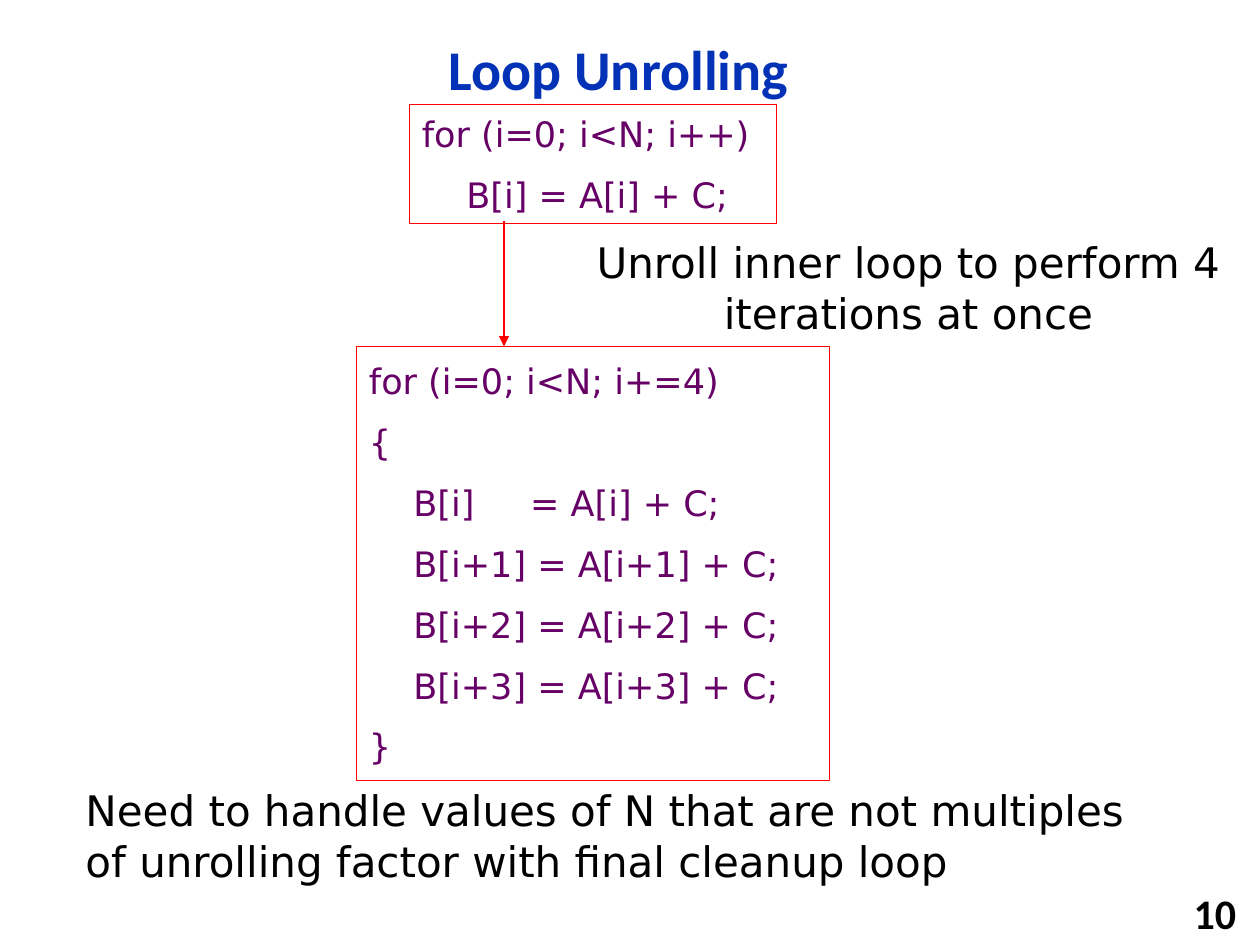
from lxml import etree
from pptx import Presentation
from pptx.dml.color import RGBColor
from pptx.enum.shapes import MSO_CONNECTOR, MSO_SHAPE
from pptx.enum.text import MSO_ANCHOR, PP_ALIGN
from pptx.oxml.ns import qn
from pptx.util import Inches, Pt

LEFT, CENTER, RIGHT = PP_ALIGN.LEFT, PP_ALIGN.CENTER, PP_ALIGN.RIGHT
TOP, MIDDLE = MSO_ANCHOR.TOP, MSO_ANCHOR.MIDDLE
RECTANGLE, STRAIGHT = MSO_SHAPE.RECTANGLE, MSO_CONNECTOR.STRAIGHT

COLORS = {"title": "0332B7", "code": "660066", "outline": "FF0000", "text": "000000"}
HEADING_FONT, BODY_FONT = "Calibri", "DejaVu Sans"

ROLLED_LOOP = ["for (i=0; i<N; i++)", "    B[i] = A[i] + C;"]
UNROLLED_LOOP = [
    "for (i=0; i<N; i+=4)",
    "{",
    "    B[i]     = A[i] + C;",
    *(f"    B[i+{step}] = A[i+{step}] + C;" for step in range(1, 4)),
    "}",
]


def color(name):
    """Return the named colour."""
    return RGBColor.from_string(COLORS[name])


def write_text(frame, lines, font=BODY_FONT, size=24, fill="text", bold=False,
               align=LEFT, anchor=TOP, gap=0, spacing=None):
    """Fill a text frame with one paragraph per line."""
    frame.word_wrap = True
    frame.vertical_anchor = anchor
    for index, line in enumerate(lines):
        paragraph = frame.add_paragraph() if index else frame.paragraphs[0]
        paragraph.text = line
        paragraph.alignment = align
        if index:
            paragraph.space_before = Pt(gap)
        if spacing:
            paragraph.line_spacing = spacing
        paragraph.font.name = font
        paragraph.font.size = Pt(size)
        paragraph.font.bold = bold
        paragraph.font.color.rgb = color(fill)


def add_label(slide, box, text, **text_format):
    """Place a text box in the given box."""
    label = slide.shapes.add_textbox(*map(Inches, box))
    write_text(label.text_frame, [text], **text_format)


def add_code(slide, box, lines):
    """Place an outlined code listing in the given box."""
    listing = slide.shapes.add_shape(RECTANGLE, *map(Inches, box))
    listing.shadow.inherit = False
    listing.fill.background()
    listing.line.color.rgb = color("outline")
    listing.line.width = Pt(0.25)
    write_text(listing.text_frame, lines, size=20, fill="code", anchor=MIDDLE, gap=10.8)


def add_arrow(slide, x, top, bottom):
    """Draw a downward arrow between two heights."""
    arrow = slide.shapes.add_connector(
        STRAIGHT, Inches(x), Inches(top), Inches(x), Inches(bottom))
    arrow.line.color.rgb = color("outline")
    arrow.line.width = Pt(1.5)
    etree.SubElement(arrow.line._get_or_add_ln(), qn("a:tailEnd"), type="triangle")
    etree.SubElement(arrow._element.spPr, qn("a:effectLst"))


def build_loop_unrolling(slide, box):
    """Lay out the loop unrolling slide inside the given box."""
    left, top, width, height = box
    right, bottom = left + width, top + height
    add_label(slide, (left + 0.92, top + 0.17, 7.98, 0.81), "Loop Unrolling",
              font=HEADING_FONT, size=32, fill="title", bold=True,
              align=CENTER, anchor=MIDDLE, spacing=0.9)
    add_label(slide, (right - 2.17, bottom - 0.42, 2.08, 0.32), "10",
              font=HEADING_FONT, bold=True, align=RIGHT, anchor=MIDDLE)
    add_code(slide, (left + 3.25, top + 0.83, 2.91, 0.94), ROLLED_LOOP)
    add_code(slide, (left + 2.83, top + 2.75, 3.75, 3.44), UNROLLED_LOOP)
    add_arrow(slide, left + 4, top + 1.75, top + 2.75)
    add_label(slide, (right - 5.58, top + 1.83, 5.58, 0.9),
              "Unroll inner loop to perform 4 iterations at once", align=CENTER)
    add_label(slide, (left + 0.58, top + 6.18, 8.75, 0.9),
              "Need to handle values of N that are not multiples "
              "of unrolling factor with final cleanup loop")


def main():
    """Build and save the presentation."""
    deck = Presentation()
    deck.slide_width, deck.slide_height = Inches(10), Inches(7.5)
    slide = deck.slides.add_slide(deck.slide_layouts[6])
    build_loop_unrolling(slide, (0, 0, 10, 7.5))
    deck.save("out.pptx")


if __name__ == "__main__":
    main()
